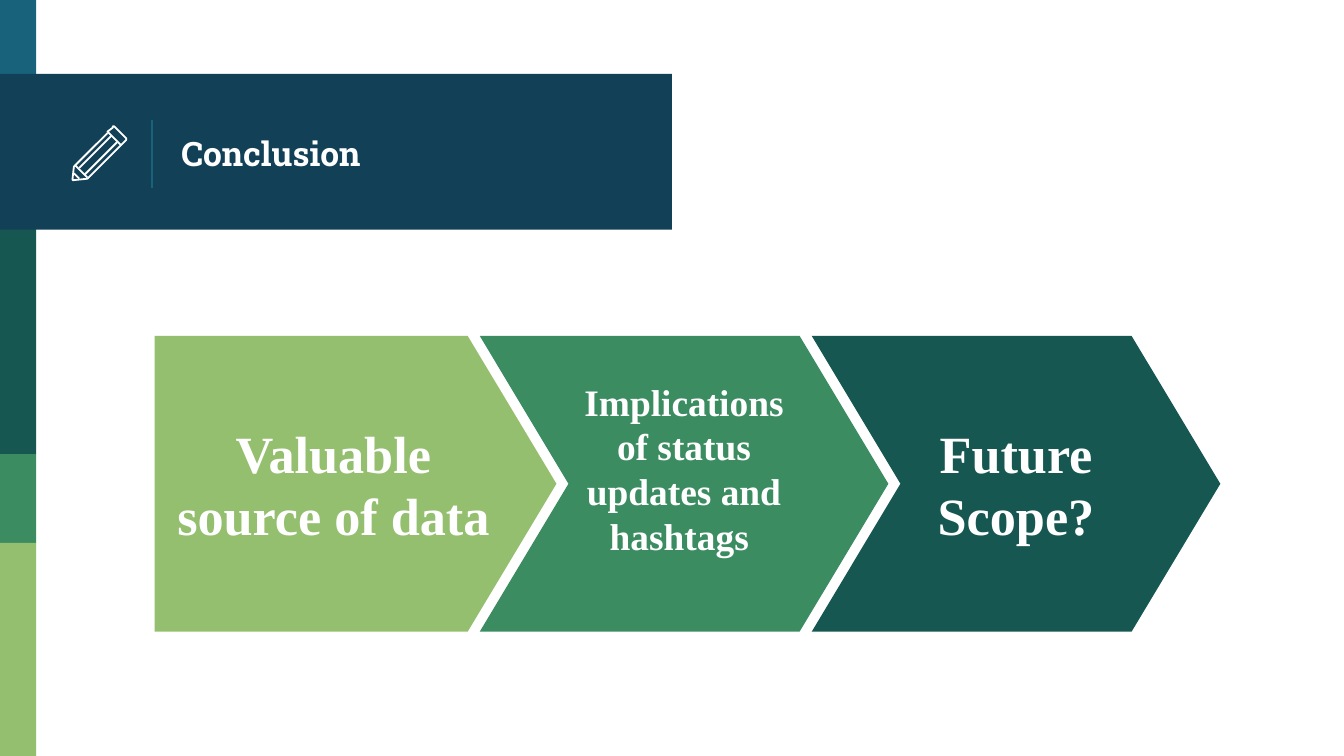
from lxml import etree
from pptx import Presentation
from pptx import util as u
from pptx.dml.color import RGBColor
from pptx.enum import shapes, text
from pptx.oxml import ns

COLORS = {
    "blue": "18637B",
    "navy": "124057",
    "teal": "165751",
    "green": "3B8D61",
    "lime": "94BF6E",
    "white": "FFFFFF",
}
SLIDE_W = 10
SLIDE_H = SLIDE_W * 9 / 16
Inches = u.Inches
SHAPE = shapes.MSO_SHAPE


def rgb(name):
    return RGBColor.from_string(COLORS[name])


def add_block(slide, kind, box, color):
    block = slide.shapes.add_shape(kind, *map(Inches, box))
    block.shadow.inherit = False
    block.fill.solid()
    block.fill.fore_color.rgb = rgb(color)
    block.line.fill.background()
    return block


def format_frame(frame, bottom=0.1):
    settings = {
        "word_wrap": True,
        "auto_size": text.MSO_AUTO_SIZE.NONE,
        "vertical_anchor": text.MSO_ANCHOR.MIDDLE,
        "margin_left": Inches(0.1),
        "margin_right": Inches(0.1),
        "margin_top": Inches(0.1),
        "margin_bottom": Inches(bottom),
    }
    for key, value in settings.items():
        setattr(frame, key, value)


def write(frame, words, size, font_name, align):
    frame.text = words
    paragraph = frame.paragraphs[0]
    paragraph.alignment = align
    font = paragraph.runs[0].font
    for key, value in {"name": font_name, "size": u.Pt(size), "bold": True}.items():
        setattr(font, key, value)
    font.color.rgb = rgb("white")
    return paragraph


def add_rail(slide, left, width):
    """Stacked colour bands along the slide edge."""
    bands = [("blue", 0, 0.58), ("teal", 1.7, 3.38),
             ("green", 3.38, 4.04), ("lime", 4.04, SLIDE_H)]
    for color, top, bottom in bands:
        add_block(slide, SHAPE.RECTANGLE, (left, top, width, bottom - top), color)


def add_pencil(slide, left, top):
    """Outlined pencil; points are hundredths of an inch from its corner."""
    eraser = [(40, 9), (32, 1), (31, 0), (30, 0), (30, 1), (26, 4), (36, 14), (40, 10)]
    body = [(26, 5), (2, 29), (1, 30), (0, 39), (0, 40), (1, 40), (11, 39), (36, 14)]
    lower_ridge = [(33, 12), (9, 36)]
    upper_ridge = [(29, 7), (5, 31)]
    lead = [(5, 39), (1, 35)]
    collar = [(2, 29), (11, 38)]
    for points in (eraser, lower_ridge, body, upper_ridge, lead, collar):
        builder = slide.shapes.build_freeform(*points[0], scale=Inches(0.01))
        builder.add_line_segments(points[1:], close=points is eraser)
        stroke = builder.convert_to_shape(Inches(left), Inches(top))
        stroke.shadow.inherit = False
        stroke.fill.background()
        stroke.line.color.rgb = rgb("white")
        stroke.line.width = u.Pt(0.96)


def add_header(slide, left, top, width, height):
    """Banner with pencil, divider and title."""
    add_block(slide, SHAPE.RECTANGLE, (left, top, width, height), "navy")

    divider_x = Inches(left + 1.13)
    divider = slide.shapes.add_connector(
        shapes.MSO_CONNECTOR.STRAIGHT,
        divider_x, Inches(top + 0.34), divider_x, Inches(top + 0.85))
    divider.line.color.rgb = rgb("blue")
    divider.line.width = u.Pt(0.75)
    etree.SubElement(divider._element.spPr, ns.qn("a:effectLst"))

    add_pencil(slide, left + 0.54, top + 0.39)

    # Bring the title in front of the banner
    title = slide.shapes.title
    slide.shapes._spTree.append(title._element)
    title.left, title.top = Inches(left + 1.25), Inches(top + 0.03)
    title.width, title.height = Inches(3.51), Inches(1.12)
    format_frame(title.text_frame)
    write(title.text_frame, "Conclusion", 18, "Roboto Slab", text.PP_ALIGN.LEFT)


def add_process(slide, left, top, height):
    """Row of three interlocking arrows."""
    width, pitch, first_inset = 3.04, 2.47, 0.05
    steps = [
        ("Valuable source of data", 28, "lime", 0.1),
        ("Implications of status updates and hashtags ", 20, "green", 0.33),
        ("Future Scope?", 28, "teal", 0.1),
    ]
    for i, (words, size, color, bottom) in enumerate(steps):
        kind = SHAPE.CHEVRON if i else SHAPE.PENTAGON
        inset = 0 if i else first_inset
        arrow = add_block(
            slide, kind, (left + i * pitch + inset, top, width - inset, height), color)
        arrow.adjustments[0] = 0.3
        format_frame(arrow.text_frame, bottom)
        paragraph = write(
            arrow.text_frame, words, size, "Times New Roman", text.PP_ALIGN.CENTER)
        paragraph.line_spacing = u.Pt(size * 1.2)


def main():
    deck = Presentation()
    deck.slide_width, deck.slide_height = Inches(SLIDE_W), Inches(SLIDE_H)
    slide = deck.slides.add_slide(deck.slide_layouts.get_by_name("Title Only"))
    add_rail(slide, 0, 0.27)
    add_header(slide, 0, 0.55, 5, 1.16)
    add_process(slide, 1.1, 2.5, 2.2)
    deck.save("out.pptx")


if __name__ == "__main__":
    main()
